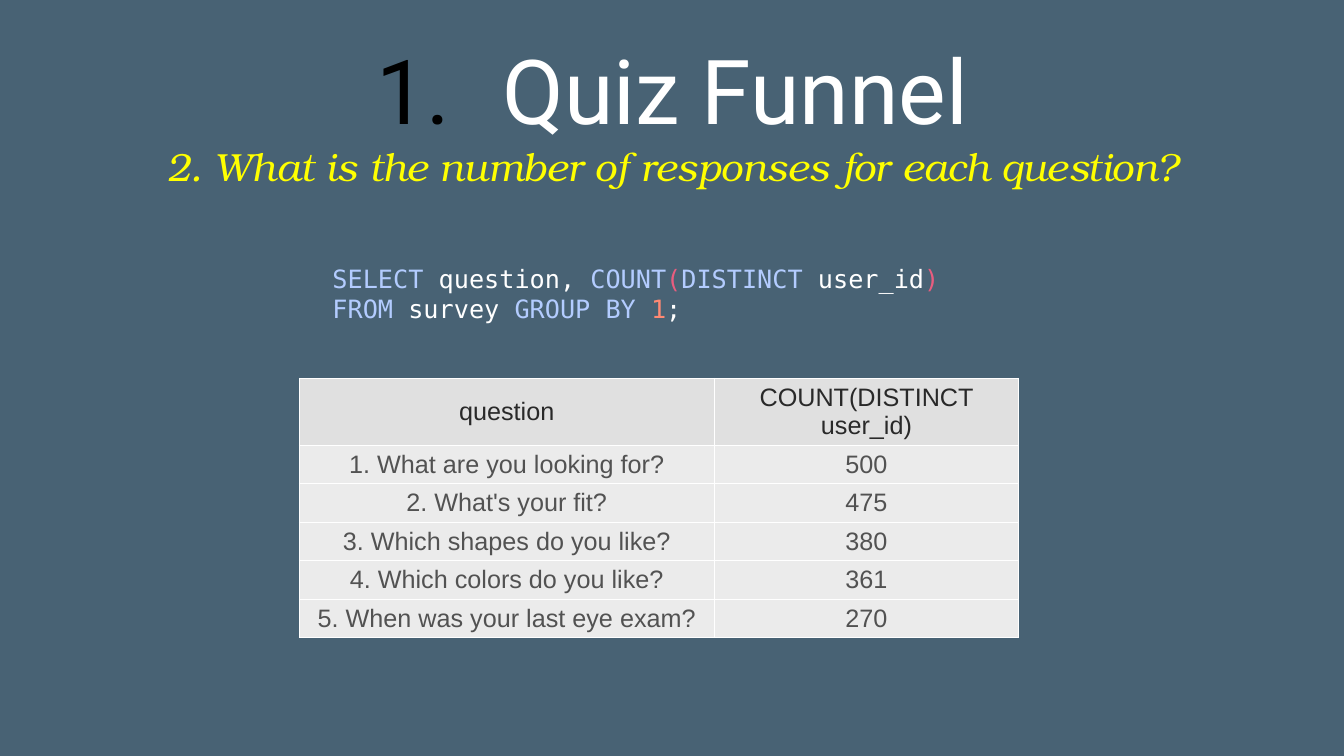
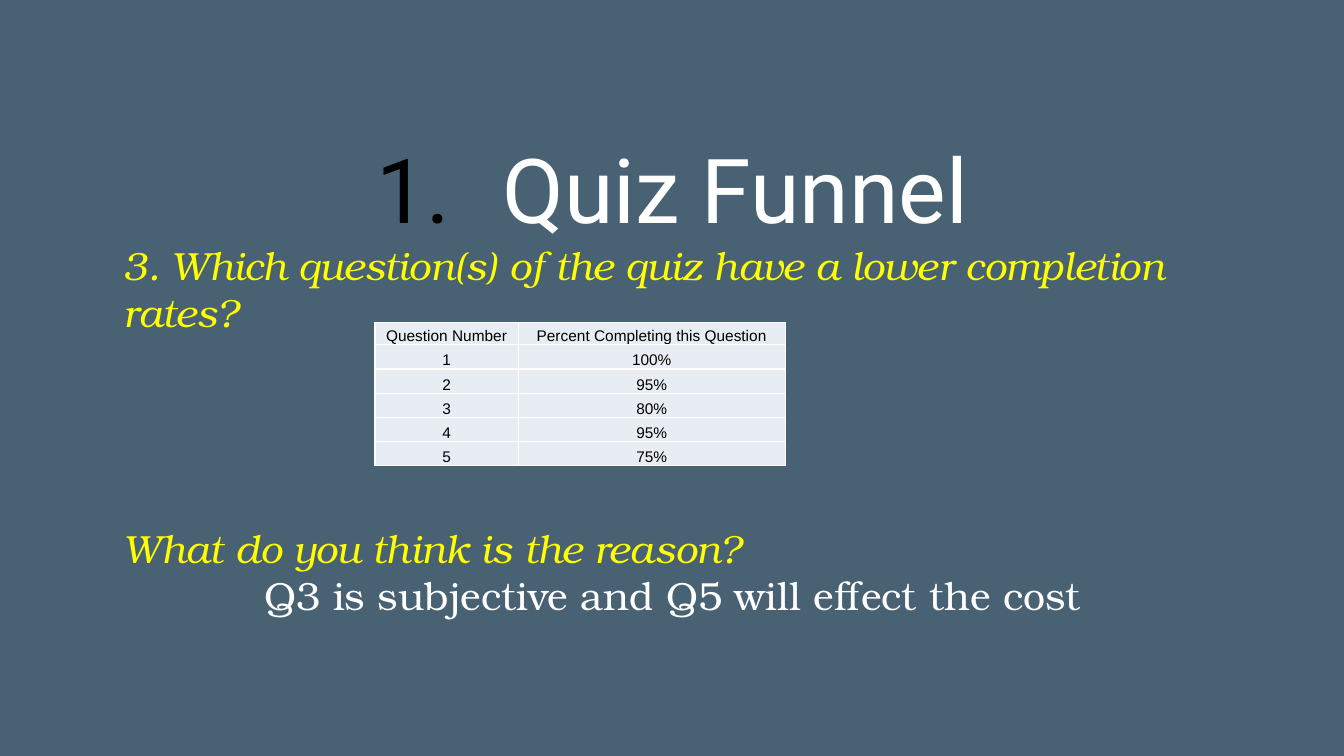
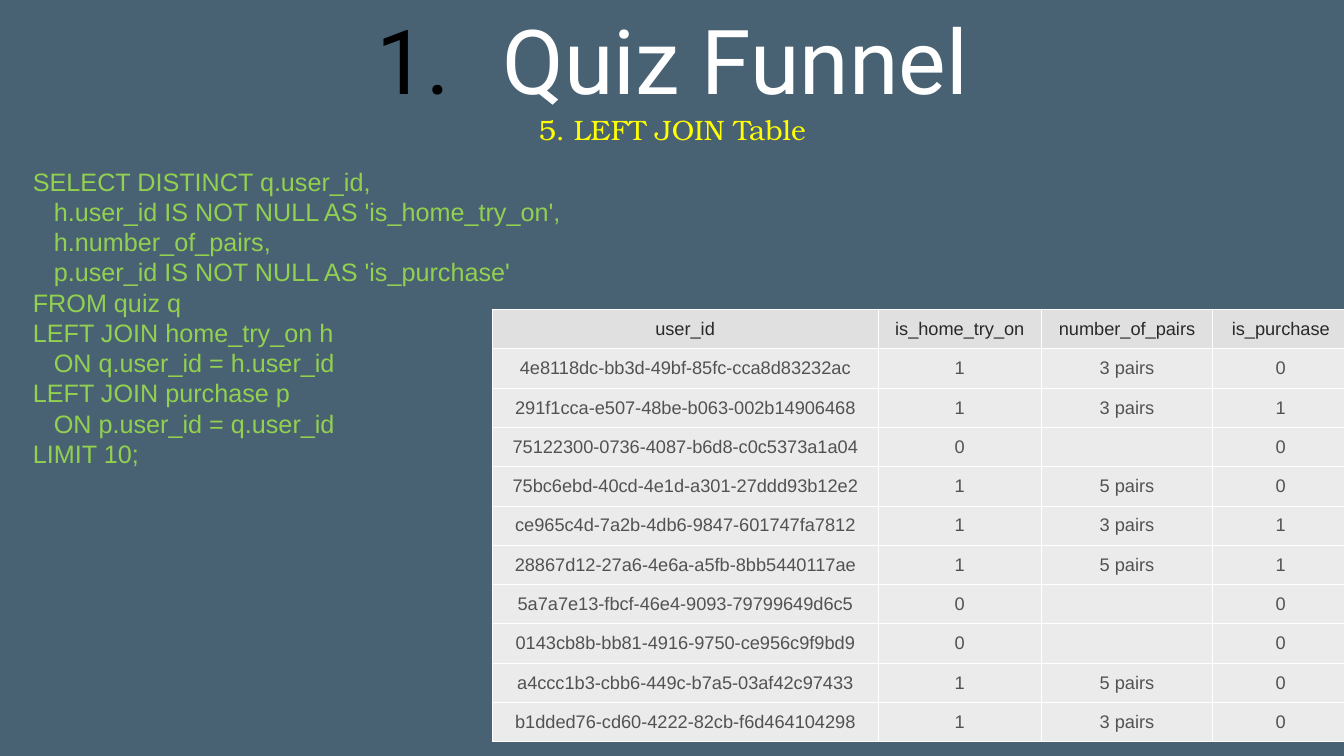
from lxml import etree
from pptx import Presentation, util as u
from pptx.dml.color import RGBColor
from pptx.enum import text as t
from pptx.oxml.ns import qn

hue = RGBColor.from_string
MID, LEFT = t.PP_ALIGN.CENTER, t.PP_ALIGN.LEFT
WHITE, GOLD, BLUE, ROSE = "FFFFFF", "FFFF00", "B3CCFF", "E85D7F"

# Text formats
HEAD = {"name": "Roboto", "size": u.Pt(64), "color": WHITE}
ASK = {"name": "TeX Gyre Bonum", "size": u.Pt(28), "color": GOLD, "italic": True}
REPLY = {**ASK, "color": WHITE, "italic": False}
TOPIC = {**ASK, "size": u.Pt(20), "italic": False}
MONO = {"name": "DejaVu Sans Mono", "size": u.Pt(18)}
PLAIN = {"name": "Arial", "size": u.Pt(18), "color": "92D050"}


def write(par, words, form, align=LEFT):
    """Add one formatted run to a paragraph."""
    par.alignment = align
    run = par.add_run()
    run.text = words
    for key, value in form.items():
        if key == "color":
            run.font.color.rgb = hue(value)
        else:
            setattr(run.font, key, value)


def edge(cell, width):
    """Draw white borders on all four sides of a cell."""
    props = cell._tc.get_or_add_tcPr()
    for side in ("lnL", "lnR", "lnT", "lnB"):
        line = etree.SubElement(props, qn("a:" + side), w=str(u.Pt(width)))
        fill = etree.SubElement(line, qn("a:solidFill"))
        etree.SubElement(fill, qn("a:srgbClr"), val=WHITE)


# Title blocks: top, height, top inset, then lines (words, format, align, space before)
titles = [
    (0.61, 5.41, 0.33, [
        ("2. What is the number of responses for each question?", ASK, MID, 0)]),
    (0.64, 17.4, 2.8, [
        ("3. Which question(s) of the quiz have a lower completion rates?", ASK, LEFT, 0),
        ("What do you think is the reason?", ASK, LEFT, 135),
        ("Q3 is subjective and Q5 will effect the cost", REPLY, MID, 0)]),
    (0.18, 3.89, 0, [("5. LEFT JOIN Table", TOPIC, MID, 0)]),
]

# Code boxes: place, then lines of (words, format) runs
query = [
    ("SELECT", BLUE), (" question, ", WHITE), ("COUNT", BLUE), ("(", ROSE),
    ("DISTINCT ", BLUE), ("user_id", WHITE), (") ", ROSE), ("FROM", BLUE),
    (" survey ", WHITE), ("GROUP BY ", BLUE), ("1", "FF8973"), (";", WHITE),
]
join = """SELECT DISTINCT q.user_id,
   h.user_id IS NOT NULL AS 'is_home_try_on',
   h.number_of_pairs,
   p.user_id IS NOT NULL AS 'is_purchase'
FROM quiz q
LEFT JOIN home_try_on h
   ON q.user_id = h.user_id
LEFT JOIN purchase p
   ON p.user_id = q.user_id
LIMIT 10;"""
codes = [
    ((8.13, 6.5, 16.94, 1.8), [[(w, {**MONO, "color": c}) for w, c in query]]),
    None,
    ((0.58, 4.06, 14.68, 7.95), [[(line, PLAIN)] for line in join.split("\n")]),
]

# Tables
GREY = {"fills": ("E0E0E0", "EBEBEB"), "inks": ("292929", "525252"),
        "anchor": t.MSO_ANCHOR.MIDDLE, "edge": 0.75}
PALE = {"fills": ("E8EDF3", "E8EDF3"), "inks": ("000000", "000000"),
        "anchor": t.MSO_ANCHOR.BOTTOM, "edge": 1}
tables = [
    {**GREY, "at": (7.54, 9.53), "cols": (10.46, 7.67), "rows": (1.67, 0.97),
     "size": 18, "pad": (0.25, 0.13, 0.25, 0.13), "data": [
         ("question", "COUNT(DISTINCT user_id)"),
         ("1. What are you looking for?", "500"),
         ("2. What's your fit?", "475"),
         ("3. Which shapes do you like?", "380"),
         ("4. Which colors do you like?", "361"),
         ("5. When was your last eye exam?", "270")]},
    {**PALE, "at": (9.45, 8.13), "cols": (3.61, 6.73), "rows": (0.56, 0.61),
     "size": 11, "pad": (0.03, 0.03, 0.03, 0), "data": [
         ("Question Number", "Percent Completing this Question"),
         ("1", "100%"), ("2", "95%"), ("3", "80%"), ("4", "95%"), ("5", "75%")]},
    {**GREY, "at": (12.4, 7.8), "cols": (9.73, 4.11, 4.32, 3.43), "rows": (0.99, 0.99),
     "size": 13, "pad": (0.18, 0.08, 0.18, 0.08), "data": [
         ("user_id", "is_home_try_on", "number_of_pairs", "is_purchase"),
         ("4e8118dc-bb3d-49bf-85fc-cca8d83232ac", "1", "3 pairs", "0"),
         ("291f1cca-e507-48be-b063-002b14906468", "1", "3 pairs", "1"),
         ("75122300-0736-4087-b6d8-c0c5373a1a04", "0", "", "0"),
         ("75bc6ebd-40cd-4e1d-a301-27ddd93b12e2", "1", "5 pairs", "0"),
         ("ce965c4d-7a2b-4db6-9847-601747fa7812", "1", "3 pairs", "1"),
         ("28867d12-27a6-4e6a-a5fb-8bb5440117ae", "1", "5 pairs", "1"),
         ("5a7a7e13-fbcf-46e4-9093-79799649d6c5", "0", "", "0"),
         ("0143cb8b-bb81-4916-9750-ce956c9f9bd9", "0", "", "0"),
         ("a4ccc1b3-cbb6-449c-b7a5-03af42c97433", "1", "5 pairs", "0"),
         ("b1dded76-cd60-4222-82cb-f6d464104298", "1", "3 pairs", "0")]},
]

# Deck and shared background
deck = Presentation()
deck.slide_width, deck.slide_height = u.Cm(33.87), u.Cm(19.05)
back = deck.slide_master.background.fill
back.solid()
back.fore_color.rgb = hue("486274")

for (top, high, inset, lines), code, spec_t in zip(titles, codes, tables):
    slide = deck.slides.add_slide(deck.slide_layouts[5])

    # Numbered title with the question below
    title = slide.shapes.title
    title.left, title.top, title.width, title.height = map(u.Cm, (2.79, top, 28.3, high))
    frame = title.text_frame
    form = {"word_wrap": True, "auto_size": t.MSO_AUTO_SIZE.NONE,
            "vertical_anchor": t.MSO_ANCHOR.TOP, "margin_top": u.Cm(inset),
            "margin_left": u.Cm(0.33), "margin_right": u.Cm(0.33),
            "margin_bottom": u.Cm(0.33)}
    for key, value in form.items():
        setattr(frame, key, value)
    par = frame.paragraphs[0]
    props = par._p.get_or_add_pPr()
    props.set("marL", str(u.Cm(3.18)))
    props.set("indent", str(u.Cm(-3.18)))
    tint = etree.SubElement(props, qn("a:buClr"))
    etree.SubElement(tint, qn("a:srgbClr"), val="000000")
    etree.SubElement(props, qn("a:buAutoNum"), type="arabicPeriod")
    par.line_spacing = u.Pt(75)
    write(par, "Quiz Funnel", HEAD, MID)
    for words, form, align, gap in lines:
        par = frame.add_paragraph()
        par.line_spacing = u.Pt(form["size"].pt * 1.2)
        par.space_before = u.Pt(gap)
        write(par, words, form, align)

    # Table
    cols, data = spec_t["cols"], spec_t["data"]
    first, rest = spec_t["rows"]
    size = (sum(cols), first + rest * (len(data) - 1))
    grid = slide.shapes.add_table(len(data), len(cols),
                                  *map(u.Cm, spec_t["at"] + size)).table
    grid.horz_banding = False
    for col, width in zip(grid.columns, cols):
        col.width = u.Cm(width)
    for r, row in enumerate(data):
        grid.rows[r].height = u.Cm(rest if r else first)
        kind = min(r, 1)
        ink = {"name": "Arial", "size": u.Pt(spec_t["size"]), "bold": False,
               "color": spec_t["inks"][kind]}
        for c, words in enumerate(row):
            cell = grid.cell(r, c)
            edge(cell, spec_t["edge"])
            cell.fill.solid()
            cell.fill.fore_color.rgb = hue(spec_t["fills"][kind])
            cell.vertical_anchor = spec_t["anchor"]
            for side, pad in zip(("left", "top", "right", "bottom"), spec_t["pad"]):
                setattr(cell, "margin_" + side, u.Cm(pad))
            if words:
                write(cell.text_frame.paragraphs[0], words, ink, MID)

    # Code
    if code:
        place, rows = code
        frame = slide.shapes.add_textbox(*map(u.Cm, place)).text_frame
        frame.word_wrap = True
        for n, runs in enumerate(rows):
            par = frame.add_paragraph() if n else frame.paragraphs[0]
            for words, form in runs:
                write(par, words, form)

deck.save("out.pptx")
